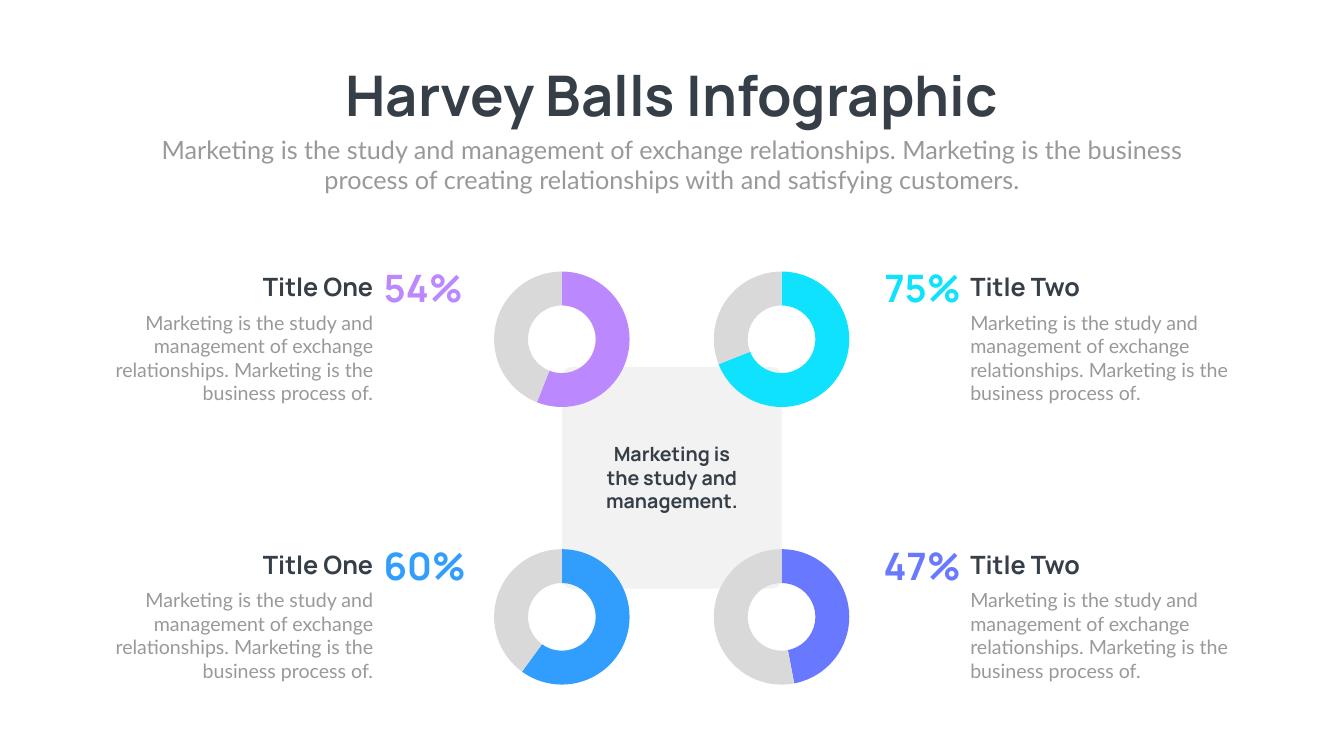
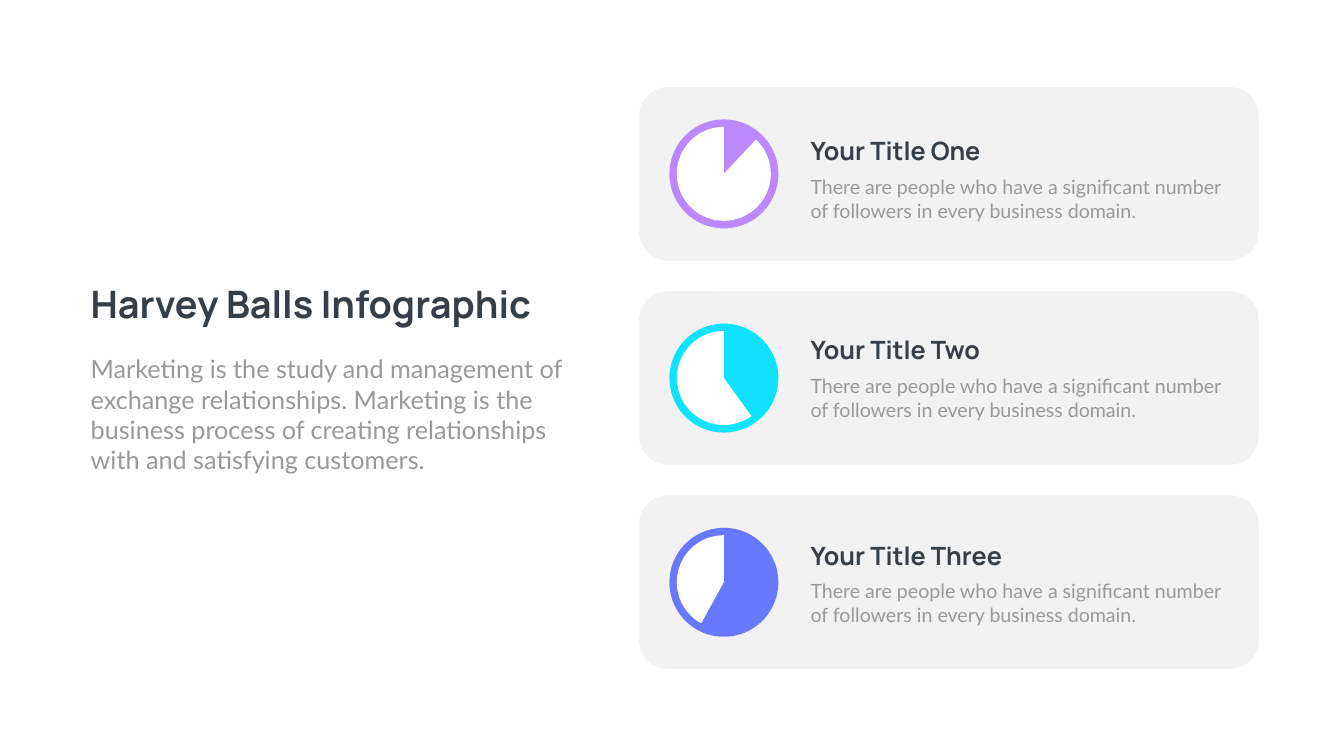
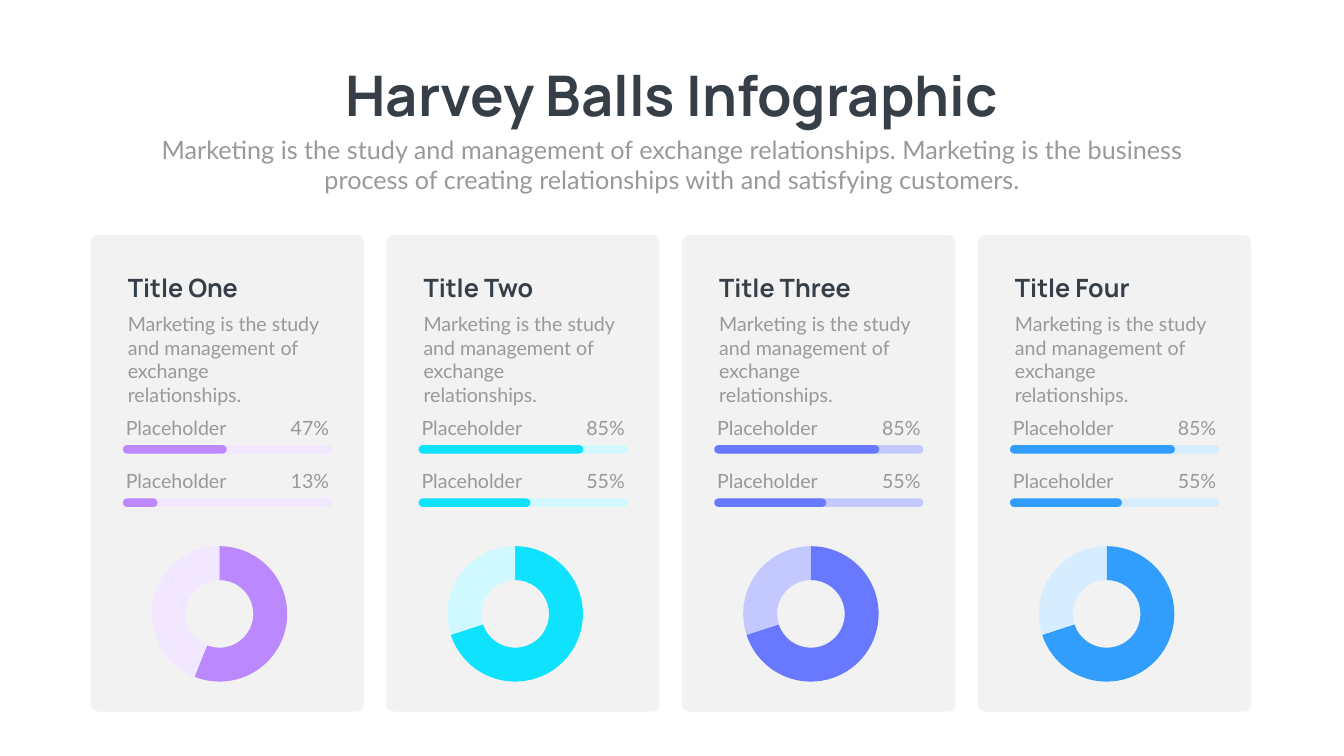
from dataclasses import dataclass

from pptx import Presentation
from pptx.chart.data import CategoryChartData
from pptx.dml.color import RGBColor
from pptx.enum.chart import XL_CHART_TYPE
from pptx.enum.shapes import MSO_SHAPE
from pptx.enum.text import MSO_AUTO_SIZE, PP_ALIGN
from pptx.oxml import parse_xml
from pptx.oxml.ns import nsdecls, qn
from pptx.util import Cm, Pt


@dataclass(frozen=True)
class Theme:
    heading: str = "Manrope"
    body: str = "Lato"
    chart: str = "Calibri"
    dark: str = "363E48"
    grey: str = "999999"
    panel: str = "F2F2F2"
    rest: str = "D9D9D9"
    white: str = "FFFFFF"
    purple: str = "BB88FE"
    cyan: str = "0FE2FC"
    indigo: str = "6979FF"
    blue: str = "319EFD"
    pale_purple: str = "F1E7FF"
    pale_cyan: str = "CFF9FE"
    pale_indigo: str = "C3C9FF"
    pale_blue: str = "D6ECFF"
    title_size: int = 80
    large_size: int = 54
    medium_size: int = 36
    small_size: int = 28
    chart_size: int = 10
    pie_size: int = 18


theme = Theme()
LEFT, CENTER, RIGHT = PP_ALIGN.LEFT, PP_ALIGN.CENTER, PP_ALIGN.RIGHT


def add_text(page, area, text, size, color=theme.grey, align=LEFT, side_inset=0.25, top_inset=0.13):
    box = page.shapes.add_textbox(*(Cm(length) for length in area))
    frame = box.text_frame
    frame.word_wrap = True
    frame.auto_size = MSO_AUTO_SIZE.SHAPE_TO_FIT_TEXT
    frame.margin_left = frame.margin_right = Cm(side_inset)
    frame.margin_top = frame.margin_bottom = Cm(top_inset)
    para = frame.paragraphs[0]
    para.alignment = align
    span = para.add_run()
    span.text = text
    span.font.size = Pt(size)
    span.font.bold = color != theme.grey
    span.font.name = theme.heading if span.font.bold else theme.body
    span.font.color.rgb = RGBColor.from_string(color)


def add_shape(page, kind, area, color, radius=None):
    shape = page.shapes.add_shape(kind, *(Cm(length) for length in area))
    shape.shadow.inherit = False
    shape.fill.solid()
    shape.fill.fore_color.rgb = RGBColor.from_string(color)
    shape.line.fill.background()
    if radius is not None:
        shape.adjustments[0] = radius


deck = Presentation()
deck.slide_width, deck.slide_height = Cm(67.72), Cm(38.1)
corners_page, list_page, cards_page = [deck.slides.add_slide(deck.slide_layouts[6]) for _ in range(3)]
balls = []
ring_width, ring_height, ring_diameter = 8, 7.52, 6.83

headline = "Harvey Balls Infographic"
summary = (
    "Marketing is the study and management of exchange relationships. Marketing is the business "
    "process of creating relationships with and satisfying customers."
)
for page in (corners_page, cards_page):
    add_text(page, (12.4, 2.9, 42.9, 3.68), headline, theme.title_size, theme.dark, CENTER)
    add_text(page, (7.42, 6.63, 52.88, 3.33), summary, theme.medium_size, align=CENTER)

add_shape(corners_page, MSO_SHAPE.ROUNDED_RECTANGLE, (28.32, 18.49, 11.07, 11.18), theme.panel, 0.045)
add_text(corners_page, (29.97, 22.15, 7.77, 3.84), "Marketing is the study and management.",
         theme.small_size, theme.dark, CENTER)

corner_note = "Marketing is the study and management of exchange relationships. Marketing is the business process of."
sides = [
    ("Title One", 24.31, 5.46, 19.08, RIGHT, LEFT, [("54%", 56, theme.purple), ("60%", 60, theme.blue)]),
    ("Title Two", 35.38, 48.64, 43.23, LEFT, RIGHT, [("75%", 69, theme.cyan), ("47%", 47, theme.indigo)]),
]
for title, ring_left, text_left, percent_left, text_align, percent_align, rows in sides:
    for row, (percent, share, color) in enumerate(rows):
        top = 13.34 + row * 13.99
        balls.append((corners_page, XL_CHART_TYPE.DOUGHNUT, (ring_left, top, ring_width, ring_height),
                      ring_diameter, share, (color, theme.rest), theme.chart_size))
        add_text(corners_page, (text_left, top + 0.2, 13.59, 1.8), title,
                 theme.medium_size, theme.dark, text_align)
        add_text(corners_page, (text_left, top + 2.18, 13.59, 5.05), corner_note,
                 theme.small_size, align=text_align)
        add_text(corners_page, (percent_left, top - 0.13, 5.44, 2.57), percent,
                 theme.large_size, color, percent_align)

add_text(list_page, (4.32, 14, 25.7, 2.57), headline, theme.large_size, theme.dark)
add_text(list_page, (4.32, 17.7, 25.7, 6.4), summary, theme.medium_size)
list_note = "There are people who have a significant number of followers in every business domain."
entries = [
    ("Your Title One", 6.71, 12, theme.purple),
    ("Your Title Two", 16.74, 40, theme.cyan),
    ("Your Title Three", 27.08, 58, theme.indigo),
]
for row, (title, title_top, share, color) in enumerate(entries):
    top = 4.39 + row * 10.29
    disc = (33.73, top + 1.63, 5.49, 5.49)
    add_shape(list_page, MSO_SHAPE.ROUNDED_RECTANGLE, (32.2, top, 31.22, 8.74), theme.panel)
    add_shape(list_page, MSO_SHAPE.OVAL, disc, color)
    balls.append((list_page, XL_CHART_TYPE.PIE, disc, 4.74, share, (None, theme.white), theme.pie_size))
    add_text(list_page, (40.59, title_top, 21.34, 1.8), title, theme.medium_size, theme.dark)
    add_text(list_page, (40.59, title_top + 1.98, 21.34, 2.64), list_note, theme.small_size)

card_note = "Marketing is the study and management of exchange relationships."
high_bars = [("85%", 8.31), ("55%", 5.64)]
cards = [
    ("Title One", 56, theme.purple, theme.pale_purple, [("47%", 5.23), ("13%", 1.75)]),
    ("Title Two", 70, theme.cyan, theme.pale_cyan, high_bars),
    ("Title Three", 70, theme.indigo, theme.pale_indigo, high_bars),
    ("Title Four", 70, theme.blue, theme.pale_blue, high_bars),
]
for column, (title, share, color, pale, bars) in enumerate(cards):
    card_left = 4.57 + column * 14.9
    left = card_left + 1.62
    add_shape(cards_page, MSO_SHAPE.ROUNDED_RECTANGLE, (card_left, 11.84, 13.77, 24.03), theme.panel, 0.027)
    add_text(cards_page, (left, 13.61, 10.49, 1.8), title, theme.medium_size, theme.dark)
    add_text(cards_page, (left, 15.6, 10.49, 3.84), card_note, theme.small_size)
    for row, (percent, length) in enumerate(bars):
        top = 22.43 + row * 2.69
        for width, bar_color in ((10.54, pale), (length, color)):
            add_shape(cards_page, MSO_SHAPE.ROUNDED_RECTANGLE, (left, top, width, 0.43), bar_color, 0.5)
        add_text(cards_page, (left, top - 1.63, 6.2, 1.47), "Placeholder", theme.small_size,
                 side_inset=0.15, top_inset=0.15)
        add_text(cards_page, (left + 8.3, top - 1.63, 2.24, 1.47), percent, theme.small_size,
                 align=RIGHT, side_inset=0.15, top_inset=0.15)
    balls.append((cards_page, XL_CHART_TYPE.DOUGHNUT, (card_left + 2.49, 27.18, ring_width, ring_height),
                  ring_diameter, share, (color, pale), theme.chart_size))

for page, kind, area, diameter, share, colors, font_size in balls:
    data = CategoryChartData()
    data.categories = ["1", "2"]
    data.add_series("Series 1", (share, 100 - share))
    chart = page.shapes.add_chart(kind, *(Cm(length) for length in area), data).chart
    chart.has_title = False
    chart.has_legend = False
    chart.font.name = theme.chart
    chart.font.size = Pt(font_size)
    chart.font.color.rgb = RGBColor.from_string(theme.grey)
    plot = chart.plots[0]
    plot.vary_by_categories = True
    for index, color in enumerate(colors):
        style = plot.series[0].points[index].format
        style.line.fill.background()
        if color is None:
            style.fill.background()
        else:
            style.fill.solid()
            style.fill.fore_color.rgb = RGBColor.from_string(color)
    width_share, height_share = diameter / area[2], diameter / area[3]
    plot_area = chart.element.find(".//" + qn("c:plotArea"))
    for layout in plot_area.findall(qn("c:layout")):
        plot_area.remove(layout)
    plot_area.insert(0, parse_xml(
        f'<c:layout {nsdecls("c")}><c:manualLayout><c:layoutTarget val="inner"/>'
        '<c:xMode val="edge"/><c:yMode val="edge"/>'
        f'<c:x val="{(1 - width_share) / 2:.3f}"/><c:y val="{(1 - height_share) / 2:.3f}"/>'
        f'<c:w val="{width_share:.3f}"/><c:h val="{height_share:.3f}"/>'
        '</c:manualLayout></c:layout>'
    ))

deck.save("out.pptx")
